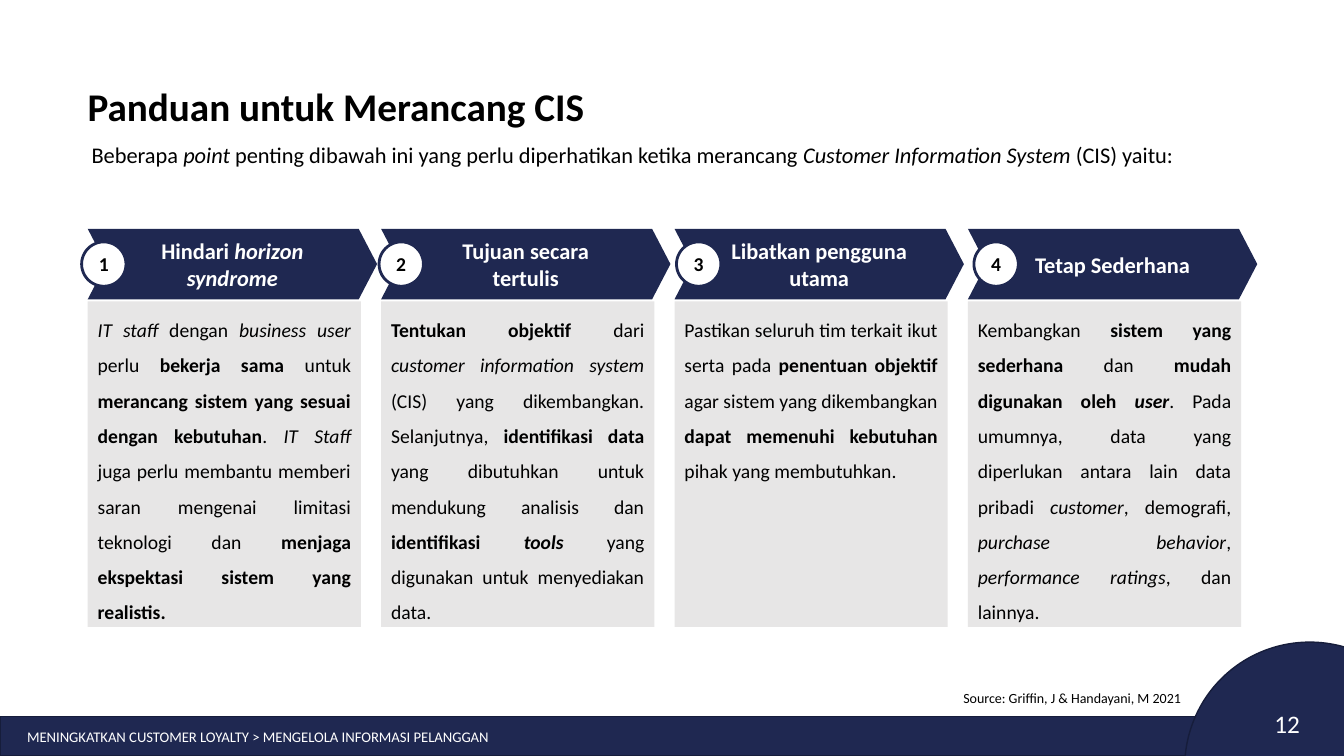
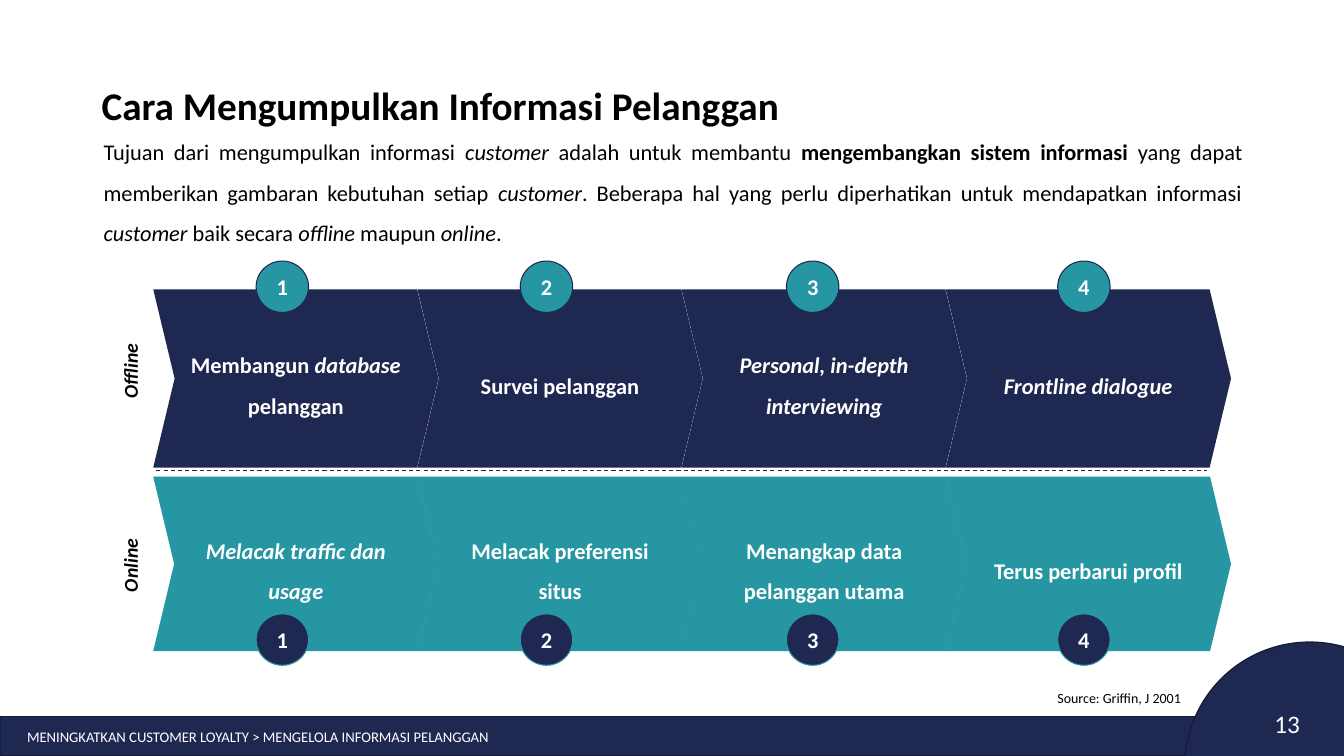
from pptx import Presentation
from pptx.dml.color import RGBColor
from pptx.enum.dml import MSO_LINE
from pptx.enum.shapes import MSO_CONNECTOR, MSO_SHAPE as SHAPE
from pptx.enum.text import MSO_ANCHOR as ANCHOR, PP_ALIGN as ALIGN
from pptx.oxml.ns import qn
from pptx.util import Inches, Pt
from lxml import etree

NAVY = RGBColor(0x1F, 0x28, 0x51)
DARK_NAVY = RGBColor(0x16, 0x1D, 0x3B)
DASH_NAVY = RGBColor(0x1C, 0x26, 0x50)
TEAL = RGBColor(0x26, 0x96, 0xA3)
GREY = RGBColor(0xE7, 0xE6, 0xE6)
WHITE = RGBColor(0xFF, 0xFF, 0xFF)
BLACK = RGBColor(0x00, 0x00, 0x00)
FONT = "Calibri"


def add_shape(slide, kind, box, fill, line=None, width=1):
    """Add a flat preset shape; box is left, top, width, height in inches."""
    shape = slide.shapes.add_shape(kind, *map(Inches, box))
    shape.shadow.inherit = False
    shape.fill.solid()
    shape.fill.fore_color.rgb = fill
    if line is None:
        shape.line.fill.background()
    else:
        shape.line.color.rgb = line
        shape.line.width = Pt(width)
    return shape


def write_text(shape, paragraphs, size, color=BLACK, align=ALIGN.LEFT,
               anchor=ANCHOR.TOP, spacing=None):
    """Write paragraphs of (text, style) runs; style holds b and/or i."""
    frame = shape.text_frame
    frame.word_wrap = True
    frame.vertical_anchor = anchor
    for index, runs in enumerate(paragraphs):
        paragraph = frame.add_paragraph() if index else frame.paragraphs[0]
        paragraph.alignment = align
        if spacing:
            paragraph.line_spacing = spacing
        for text, style in runs:
            run = paragraph.add_run()
            run.text = text
            run.font.name = FONT
            run.font.size = Pt(size)
            run.font.color.rgb = color
            run.font.bold = "b" in style
            run.font.italic = "i" in style


presentation = Presentation()
presentation.slide_width = Inches(13.33)
presentation.slide_height = Inches(7.5)

# Content of the shared parts: number, title, introduction, source
pages = [
    {
        "number": "12",
        "title": "Panduan untuk Merancang CIS",
        "title_at": (0.77, 0.58),
        "intro": [("Beberapa ", ""), ("point", "i"),
                  (" penting dibawah ini yang perlu diperhatikan ketika merancang ", ""),
                  ("Customer Information System", "i"), (" (CIS) yaitu:", "")],
        "intro_box": (0.81, 1.22, 11.49, 0.5),
        "intro_align": ALIGN.LEFT,
        "source": "Source: Griffin, J & Handayani, M 2021",
    },
    {
        "number": "13",
        "title": "Cara Mengumpulkan Informasi Pelanggan",
        "title_at": (0.91, 0.57),
        "intro": [("Tujuan dari mengumpulkan informasi ", ""), ("customer", "i"),
                  (" adalah untuk membantu ", ""),
                  ("mengembangkan sistem informasi ", "b"),
                  ("yang dapat memberikan gambaran kebutuhan setiap ", ""),
                  ("customer", "i"),
                  (". Beberapa hal yang perlu diperhatikan untuk mendapatkan informasi ", ""),
                  ("customer", "i"), (" baik secara ", ""), ("offline", "i"),
                  (" maupun ", ""), ("online", "i"), (".", "")],
        "intro_box": (0.93, 1.19, 11.49, 1.31),
        "intro_align": ALIGN.JUSTIFY,
        "source": "Source: Griffin, J 2001",
    },
]

# Shared frame: footer band, page number, title, introduction, source
for page in pages:
    slide = presentation.slides.add_slide(presentation.slide_layouts[6])
    add_shape(slide, SHAPE.RECTANGLE, (0, 7.11, 13.33, 0.39), NAVY, DARK_NAVY)
    add_shape(slide, SHAPE.OVAL, (11.75, 6.37, 2.48, 2.48), NAVY, DARK_NAVY)

    number = slide.shapes.add_textbox(*map(Inches, (11.01, 6.93, 1.98, 0.4)))
    number.text_frame.margin_top = Inches(0.1)
    write_text(number, [[(page["number"], "")]], 18, WHITE, ALIGN.RIGHT)

    breadcrumb = slide.shapes.add_textbox(*map(Inches, (0.17, 7.11, 9.68, 0.4)))
    write_text(breadcrumb,
               [[("MENINGKATKAN CUSTOMER LOYALTY > MENGELOLA INFORMASI PELANGGAN", "")]],
               10.5, WHITE, anchor=ANCHOR.MIDDLE)

    title = slide.shapes.add_textbox(*map(Inches, (*page["title_at"], 11.73, 0.75)))
    write_text(title, [[(page["title"], "b")]], 28, anchor=ANCHOR.BOTTOM)

    intro = slide.shapes.add_textbox(*map(Inches, page["intro_box"]))
    write_text(intro, [page["intro"]], 16, align=page["intro_align"], spacing=1.5)

    source = slide.shapes.add_textbox(*map(Inches, (4.07, 6.79, 7.74, 0.27)))
    write_text(source, [[(page["source"], "")]], 10, align=ALIGN.RIGHT)

guide_slide, collect_slide = presentation.slides

# Guide slide: four numbered columns of heading and explanation
guides = [
    ([[("Hindari ", "b"), ("horizon syndrome", "bi")]],
     [("IT staff", "i"), (" dengan ", ""), ("business user ", "i"), ("perlu ", ""),
      ("bekerja sama ", "b"), ("untuk ", ""),
      ("merancang sistem yang sesuai dengan kebutuhan", "b"), (". ", ""),
      ("IT Staff ", "i"),
      ("juga perlu membantu memberi saran mengenai limitasi teknologi dan ", ""),
      ("menjaga ekspektasi sistem yang realistis.", "b")]),
    ([[("Tujuan secara", "b")], [("tertulis", "b")]],
     [("Tentukan objektif ", "b"), ("dari ", ""), ("customer information system ", "i"),
      ("(CIS) yang dikembangkan. Selanjutnya, ", ""), ("identifikasi data ", "b"),
      ("yang dibutuhkan untuk mendukung analisis dan ", ""), ("identifikasi", "b"),
      (" tools ", "bi"), ("yang digunakan untuk menyediakan data.", "")]),
    ([[("Libatkan pengguna utama", "b")]],
     [("Pastikan seluruh tim terkait ikut serta pada ", ""),
      ("penentuan objektif", "b"), (" agar sistem yang dikembangkan ", ""),
      ("dapat memenuhi kebutuhan", "b"), (" pihak yang membutuhkan.", "")]),
    ([[("Tetap Sederhana", "b")]],
     [("Kembangkan ", ""), ("sistem yang sederhana", "b"), (" dan ", ""),
      ("mudah digunakan oleh ", "b"), ("user", "bi"),
      (". Pada umumnya, data yang diperlukan antara lain data pribadi ", ""),
      ("customer", "i"), (", demografi, ", ""), ("purchase behavior", "i"), (", ", ""),
      ("performance ratings", "i"), (", dan lainnya.", "")]),
]
for index, (heading, explanation) in enumerate(guides):
    left = 0.87 + 2.91 * index
    panel = add_shape(guide_slide, SHAPE.RECTANGLE, (left, 2.99, 2.71, 3.23), GREY)
    write_text(panel, [explanation], 14, align=ALIGN.JUSTIFY, spacing=1.5)

    banner = add_shape(guide_slide, SHAPE.CHEVRON, (left, 2.27, 2.87, 0.7), NAVY)
    banner.adjustments[0] = 0.26
    write_text(banner, heading, 16, WHITE, ALIGN.CENTER, ANCHOR.MIDDLE)

    badge = add_shape(guide_slide, SHAPE.OVAL, (0.81 + 2.95 * index, 2.4, 0.44, 0.44),
                      WHITE, NAVY, 2)
    write_text(badge, [[(str(index + 1), "b")]], 14, BLACK, ALIGN.CENTER, ANCHOR.MIDDLE)

# Collection slide: label, label top, row top, height, badge top, colours, steps
rows = [
    ("Offline", 3.51, 2.87, 1.77, 2.59, NAVY, TEAL,
     [[("Membangun ", "b"), ("database", "bi"), (" pelanggan", "b")],
      [("Survei pelanggan", "b")],
      [("Personal, in-depth interviewing", "bi")],
      [("Frontline dialogue", "bi")]]),
    ("Online", 5.44, 4.73, 1.73, 6.09, TEAL, NAVY,
     [[("Melacak traffic dan usage", "bi")],
      [("Melacak preferensi situs", "b")],
      [("Menangkap data pelanggan utama", "b")],
      [("Terus perbarui profil", "b")]]),
]
badge_lefts = [2.54, 5.16, 7.8, 10.49]
for label, label_top, top, height, badge_top, fill, badge_fill, steps in rows:
    row_label = collect_slide.shapes.add_textbox(*map(Inches, (0.76, label_top, 1.07, 0.34)))
    row_label.rotation = 270
    write_text(row_label, [[(label, "bi")]], 14, align=ALIGN.CENTER)

    for index, step in enumerate(steps):
        chevron = add_shape(collect_slide, SHAPE.CHEVRON,
                            (1.52 + 2.62 * index, top, 2.83, height), fill)
        chevron.adjustments[0] = 0.12
        write_text(chevron, [step], 16, WHITE, ALIGN.CENTER, ANCHOR.MIDDLE, 1.5)

    for index, left in enumerate(badge_lefts):
        badge = add_shape(collect_slide, SHAPE.OVAL, (left, badge_top, 0.52, 0.51),
                          badge_fill, fill, 0.75)
        write_text(badge, [[(str(index + 1), "b")]], 16, WHITE, ALIGN.CENTER, ANCHOR.MIDDLE)

# Dashed divider between the two rows
divider = collect_slide.shapes.add_connector(
    MSO_CONNECTOR.STRAIGHT, *map(Inches, (1.55, 4.67, 11.97, 4.67)))
divider.line.color.rgb = DASH_NAVY
divider.line.width = Pt(0.75)
divider.line.dash_style = MSO_LINE.DASH
etree.SubElement(divider._element.spPr, qn("a:effectLst"))

presentation.save("out.pptx")
